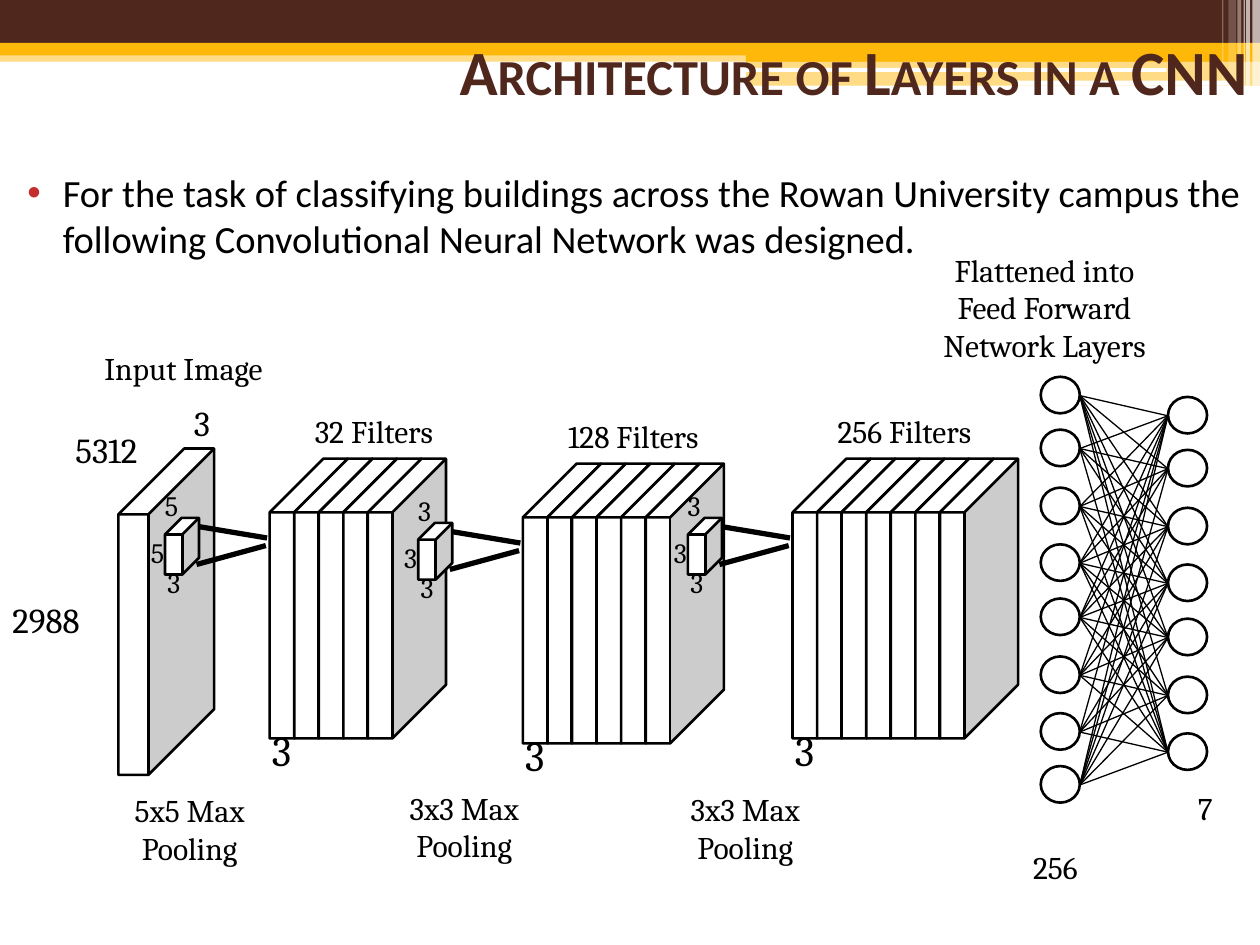
from dataclasses import dataclass
from itertools import product
from typing import NamedTuple

import pptx
import pptx.dml.color
import pptx.enum.shapes
import pptx.enum.text
import pptx.oxml
import pptx.oxml.ns
import pptx.util
from pptx.util import Inches

SHAPES = pptx.enum.shapes.MSO_SHAPE
ALIGN = pptx.enum.text.PP_ALIGN
ANCHOR = pptx.enum.text.MSO_ANCHOR
FIT = pptx.enum.text.MSO_AUTO_SIZE


@dataclass(frozen=True)
class Theme:
    brown: str = "4F271C"
    gold: str = "FEB80A"
    white: str = "FFFFFF"
    black: str = "000000"
    red: str = "C32D2E"
    heading_font: str = "Calibri"
    label_font: str = "Cambria"
    title: int = 36
    body: int = 22
    depth: int = 24
    dimension: int = 20
    label: int = 18
    kernel: int = 16
    outline: float = 1.5
    beam: float = 3
    link: float = 0.75


THEME = Theme()


class Area(NamedTuple):
    left: float
    top: float
    width: float
    height: float


class Band(NamedTuple):
    area: Area
    colour: str
    opacity: int = 100
    kind: int = SHAPES.RECTANGLE


class Label(NamedTuple):
    text: str
    area: Area
    size: int = THEME.label
    wrap: bool = True
    align: int = ALIGN.LEFT


class Block(NamedTuple):
    left: float
    top: float
    count: int
    title: str
    title_width: float
    kernel: str


def rgb(colour: str) -> pptx.dml.color.RGBColor:
    return pptx.dml.color.RGBColor.from_string(colour)


def apply(target, values: dict) -> None:
    for name, value in values.items():
        setattr(target, name, value)


def element(tag: str, **values: str):
    item = pptx.oxml.parse_xml(f"<{tag} {pptx.oxml.ns.nsdecls('a')}/>")
    for name, value in values.items():
        item.set(name, value)
    return item


def draw_shape(page, kind: int, area: Area, colour: str, outline: float = 0, adjust: float | None = None):
    shape = page.shapes.add_shape(kind, *map(Inches, area))
    shape.shadow.inherit = False
    shape.fill.solid()
    shape.fill.fore_color.rgb = rgb(colour)
    if outline:
        shape.line.color.rgb = rgb(THEME.black)
        shape.line.width = pptx.util.Pt(outline)
    else:
        shape.line.fill.background()
    if adjust is not None:
        shape.adjustments[0] = adjust
    return shape


def draw_band(page, band: Band) -> None:
    shape = draw_shape(page, band.kind, band.area, band.colour)
    if band.opacity < 100:
        colour = shape.fill._xPr.find(".//" + pptx.oxml.ns.qn("a:srgbClr"))
        colour.append(element("a:alpha", val=str(band.opacity * 1000)))


def draw_line(page, left: float, top: float, right: float, bottom: float, width: float) -> None:
    ends = map(Inches, (left, top, right, bottom))
    line = page.shapes.add_connector(pptx.enum.shapes.MSO_CONNECTOR.STRAIGHT, *ends)
    line.line.color.rgb = rgb(THEME.black)
    line.line.width = pptx.util.Pt(width)
    line._element.spPr.append(element("a:effectLst"))


def draw_text(page, text: str, area: Area, frame: dict, paragraph: dict, font: dict, colour: str):
    box = page.shapes.add_textbox(*map(Inches, area))
    apply(box.text_frame, frame)
    para = box.text_frame.paragraphs[0]
    apply(para, paragraph)
    span = para.add_run()
    span.text = text
    apply(span.font, font)
    span.font.color.rgb = rgb(colour)
    return para, span


def draw_label(page, label: Label) -> None:
    draw_text(page, label.text, label.area,
              {"word_wrap": label.wrap, "auto_size": FIT.SHAPE_TO_FIT_TEXT},
              {"alignment": label.align},
              {"name": THEME.label_font, "size": pptx.util.Pt(label.size)}, THEME.black)


def draw_headings(page) -> None:
    para, span = draw_text(
        page, "Architecture of Layers in a CNN", Area(1, 0.29, 9, 0.54),
        {"word_wrap": True, "vertical_anchor": ANCHOR.MIDDLE}, {"alignment": ALIGN.RIGHT},
        {"name": THEME.heading_font, "size": pptx.util.Pt(THEME.title), "bold": True}, THEME.brown)
    span.font._element.set("cap", "small")
    para, span = draw_text(
        page, "For the task of classifying buildings across the Rowan University campus the "
        "following Convolutional Neural Network was designed.", Area(0, 1.29, 10, 4.65),
        {"word_wrap": True}, {"space_before": pptx.util.Pt(12)},
        {"name": THEME.heading_font, "size": pptx.util.Pt(THEME.body)}, THEME.black)
    properties = para._p.get_or_add_pPr()
    properties.set("marL", str(Inches(0.4)))
    properties.set("indent", str(Inches(-0.28)))
    bullet_colour = element("a:buClr")
    bullet_colour.append(element("a:srgbClr", val=THEME.red))
    for item in (bullet_colour, element("a:buFont", typeface="Arial"), element("a:buChar", char="•")):
        properties.append(item)


def draw_block(page, block: Block) -> None:
    left, top = block.left, block.top
    for index in range(block.count):
        area = Area(left + 0.195 * index, top, 0.62, 2.22)
        draw_shape(page, SHAPES.CUBE, area, THEME.white, THEME.outline, 0.688)
    draw_shape(page, SHAPES.CUBE, Area(left - 0.83, top + 0.47, 0.27, 0.45), THEME.white, THEME.outline, 0.49)
    draw_line(page, left - 0.56, top + 0.54, left - 0.02, top + 0.63, THEME.beam)
    draw_line(page, left - 0.58, top + 0.84, left - 0.03, top + 0.69, THEME.beam)
    for text, across, down, width, height, size, wrap in (
        (block.title, 0.26, -0.42, block.title_width, 0.4, THEME.label, False),
        (block.kernel, -0.93, 0.19, 0.33, 0.37, THEME.kernel, False),
        (block.kernel, -1.04, 0.56, 0.33, 0.37, THEME.kernel, False),
        ("3", -0.91, 0.8, 0.28, 0.29, THEME.kernel, False),
        ("3", -0.08, 2.06, 0.64, 0.5, THEME.depth, True),
    ):
        draw_label(page, Label(text, Area(left + across, top + down, width, height), size, wrap))


def draw_network(page) -> None:
    inputs = (2.99, 3.41, 3.87, 4.32, 4.75, 5.21, 5.66, 6.08)
    outputs = [top + 0.16 for top in inputs[:-1]]
    for left, tops in ((8.26, inputs), (9.27, outputs)):
        for top in tops:
            draw_shape(page, SHAPES.OVAL, Area(left, top, 0.31, 0.29), THEME.white, THEME.outline)
    for (source, start), (target, end) in product(enumerate(inputs), enumerate(outputs)):
        outer = source in (0, len(inputs) - 1) or target in (0, len(outputs) - 1)
        if outer or -3 <= target - source <= 2:
            draw_line(page, 8.57, start + 0.15, 9.27, end + 0.15, THEME.link)


BANDS = (
    Band(Area(0, 0.4, 10, 0.09), THEME.gold, 50),
    Band(Area(0, 0, 10, 0.34), THEME.brown),
    Band(Area(0, 0.34, 10, 0.1), THEME.gold),
    Band(Area(5.92, 0.39, 4.08, 0.1), THEME.gold),
    Band(Area(5.92, 0.48, 4.08, 0.2), THEME.gold, 50),
    Band(Area(5.91, 0.54, 3.35, 0.03), THEME.white, 100, SHAPES.ROUNDED_RECTANGLE),
    Band(Area(8.06, 0.64, 1.75, 0.04), THEME.white, 100, SHAPES.ROUNDED_RECTANGLE),
    *(Band(Area(left, 0, width, height), THEME.white, opacity) for left, width, height, opacity in (
        (9.94, 0.06, 0.68, 65), (9.89, 0.03, 0.68, 65), (9.87, 0.01, 0.68, 60),
        (9.82, 0.03, 0.68, 40), (9.75, 0.06, 0.64, 20), (9.7, 0.01, 0.64, 30))),
)
BLOCKS = (
    Block(2.14, 3.64, 5, "32 Filters", 1.26, "5"),
    Block(4.15, 3.68, 6, "128 Filters", 1.38, "3"),
    Block(6.29, 3.64, 7, "256 Filters", 1.4, "3"),
)
LABELS = (
    Label("2988", Area(0, 4.7, 1.09, 0.44), THEME.dimension),
    Label("5312", Area(0.5, 3.35, 0.99, 0.44), THEME.dimension),
    Label("3", Area(1.44, 3.14, 0.64, 0.44), THEME.dimension),
    Label("Input Image", Area(0.73, 2.72, 1.59, 0.4), wrap=False),
    Label("Flattened into Feed Forward Network Layers", Area(7.24, 1.94, 2.1, 1.01), align=ALIGN.CENTER),
    Label("256", Area(8.1, 6.68, 0.62, 0.4), wrap=False),
    Label("7", Area(9.41, 6.21, 0.33, 0.4), wrap=False),
    *(Label(f"{size}x{size} Max Pooling", Area(left, top, 1.11, 1.01), align=ALIGN.CENTER)
      for size, left, top in ((5, 0.95, 6.23), (3, 3.13, 6.21), (3, 5.36, 6.22))),
)

deck = pptx.Presentation()
apply(deck, {"slide_width": Inches(10), "slide_height": Inches(7.5)})
page = deck.slides.add_slide(deck.slide_layouts[6])
for band in BANDS:
    draw_band(page, band)
draw_headings(page)
draw_shape(page, SHAPES.CUBE, Area(0.94, 3.56, 0.76, 2.59), THEME.white, THEME.outline, 0.688)
for block in BLOCKS:
    draw_block(page, block)
draw_network(page)
for label in LABELS:
    draw_label(page, label)
deck.save("out.pptx")
